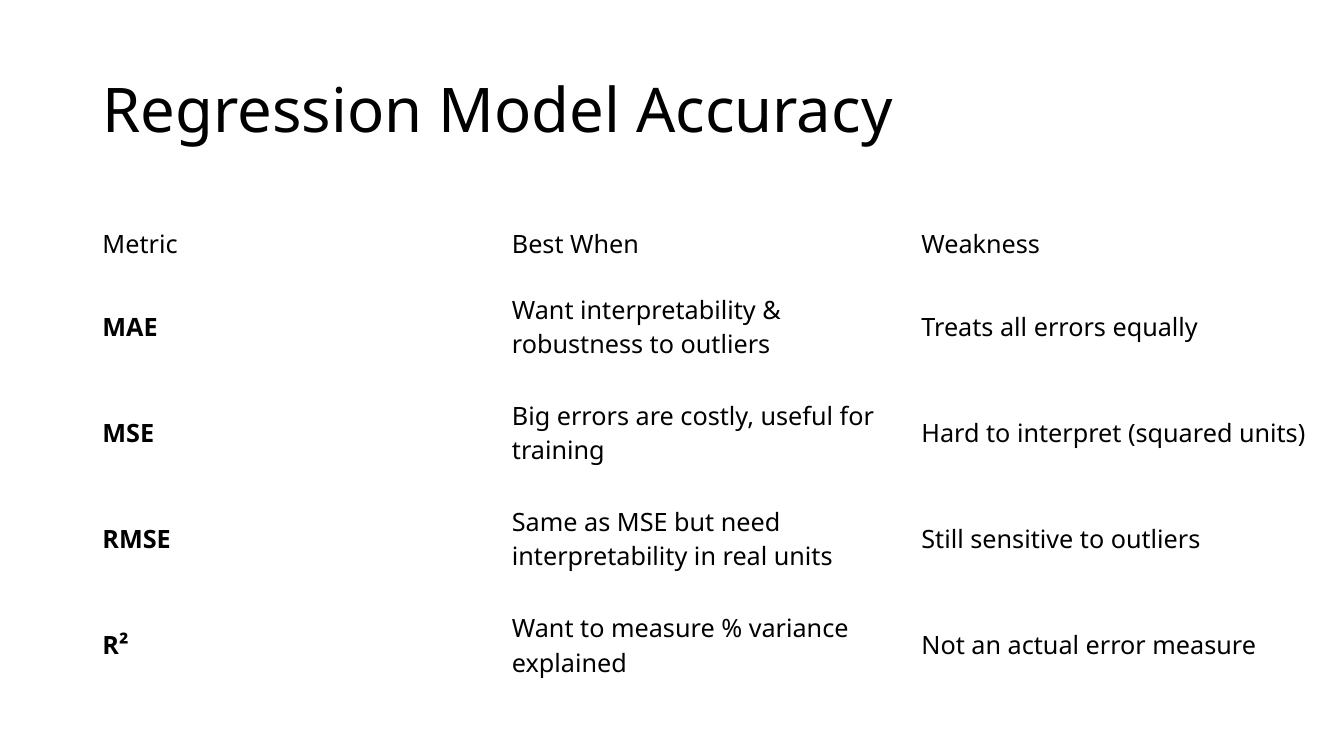
import pptx
import pptx.dml.color
import pptx.enum.text
import pptx.util

PX = 9525
FONT = "Noto Sans"
INK = "000000"
COLUMN_WIDTH = 390
HEADER_HEIGHT = 58
METRIC_HEIGHT = 101
METRICS = [
    ("Metric", "Best When", "Weakness"),
    ("MAE", "Want interpretability & robustness to outliers", "Treats all errors equally"),
    ("MSE", "Big errors are costly, useful for training", "Hard to interpret (squared units)"),
    ("RMSE", "Same as MSE but need interpretability in real units", "Still sensitive to outliers"),
    ("R²", "Want to measure % variance explained", "Not an actual error measure"),
]


def px(length):
    """Turn whole pixels into EMU."""
    return pptx.util.Emu(length * PX)


def color(hex_string):
    """Turn a hex string into a colour."""
    return pptx.dml.color.RGBColor.from_string(hex_string)


def write(paragraph, wording, size, bold=False):
    """Add one left-aligned run to a paragraph."""
    paragraph.alignment = pptx.enum.text.PP_ALIGN.LEFT
    run = paragraph.add_run()
    run.text = wording
    run.font.name = FONT
    run.font.size = pptx.util.Pt(size)
    run.font.bold = bold
    run.font.color.rgb = color(INK)


def add_heading(slide, wording):
    """Place and fill the title placeholder."""
    heading = slide.shapes.title
    heading.left, heading.top = px(88), px(38)
    heading.width, heading.height = px(1104), px(139)
    frame = heading.text_frame
    frame.word_wrap = True
    frame.auto_size = pptx.enum.text.MSO_AUTO_SIZE.NONE
    frame.vertical_anchor = pptx.enum.text.MSO_ANCHOR.MIDDLE
    frame.paragraphs[0].line_spacing = 0.9
    write(frame.paragraphs[0], wording, 44)


def add_metrics(slide, rows):
    """Add the unfilled table of metrics, with metric names in bold."""
    columns = len(rows[0])
    height = HEADER_HEIGHT + METRIC_HEIGHT * (len(rows) - 1)
    metrics = slide.shapes.add_table(
        len(rows), columns, px(88), px(203), px(COLUMN_WIDTH * columns), px(height)
    ).table
    metrics.first_row = False
    metrics.horz_banding = False
    for column in metrics.columns:
        column.width = px(COLUMN_WIDTH)
    for row_index, row in enumerate(rows):
        metrics.rows[row_index].height = px(METRIC_HEIGHT if row_index else HEADER_HEIGHT)
        for column_index, wording in enumerate(row):
            cell = metrics.cell(row_index, column_index)
            cell.fill.background()
            cell.vertical_anchor = pptx.enum.text.MSO_ANCHOR.MIDDLE
            is_metric_name = row_index > 0 and column_index == 0
            write(cell.text_frame.paragraphs[0], wording, 18, is_metric_name)


def main():
    """Build and save the slide."""
    deck = pptx.Presentation()
    deck.slide_width, deck.slide_height = px(1280), px(720)
    slide = deck.slides.add_slide(deck.slide_layouts.get_by_name("Title Only"))
    slide.background.fill.solid()
    slide.background.fill.fore_color.rgb = color("FFFFFF")
    add_heading(slide, "Regression Model Accuracy")
    add_metrics(slide, METRICS)
    deck.save("out.pptx")


if __name__ == "__main__":
    main()
